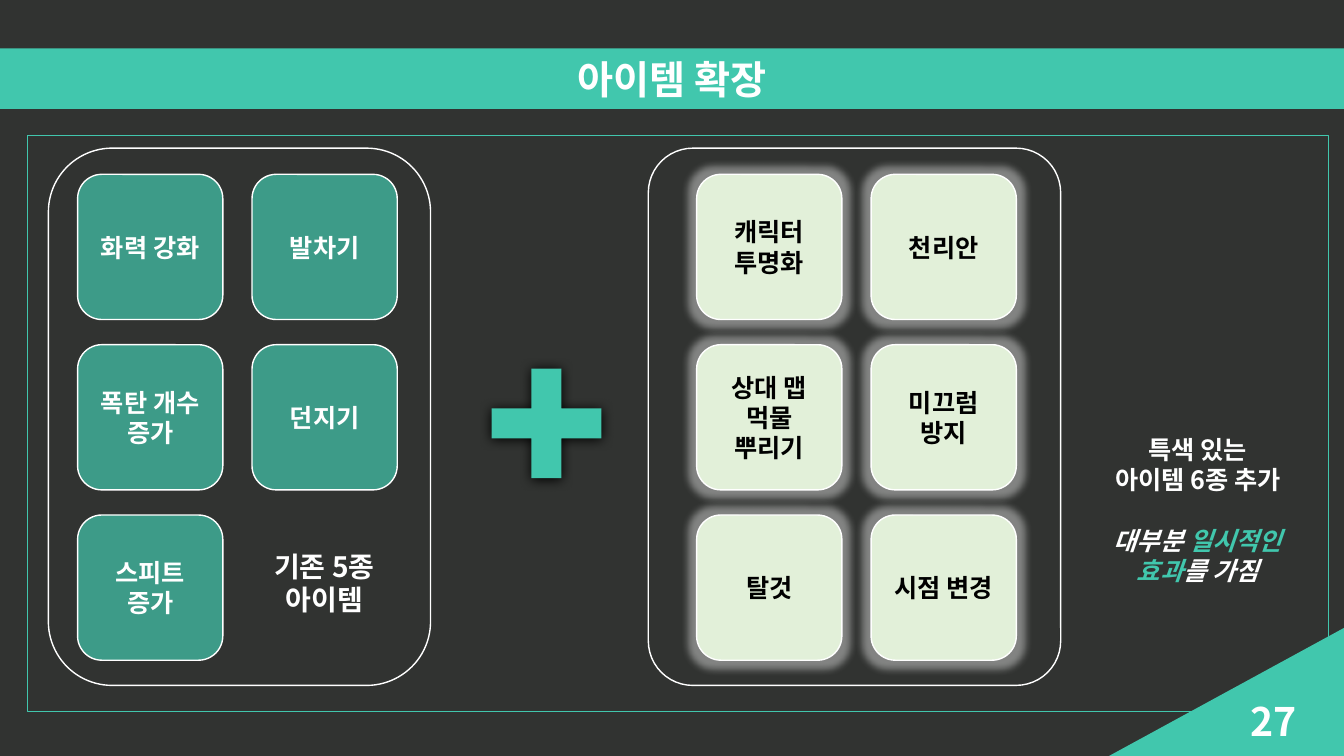
from dataclasses import dataclass
from typing import Any

from lxml.etree import SubElement
from pptx import Presentation
from pptx.dml.color import RGBColor
from pptx.enum.shapes import MSO_SHAPE as Preset
from pptx.enum.text import MSO_ANCHOR as Anchor, PP_ALIGN as Align
from pptx.oxml.ns import qn
from pptx.util import Inches, Pt

FONT = "Noto Sans CJK KR"
TEAL, DARK_TEAL, PALE_GREEN = "41C7AD", "3D9B88", "E2F0D9"
WHITE, BLACK, CHARCOAL = "FFFFFF", "000000", "313331"
TILE_SIZE, COLUMN_STEP, ROW_STEP, TILE_TOP = 1.44, 1.73, 1.69, 1.73

Box = tuple[float, float, float, float]


@dataclass(frozen=True)
class Piece:
    text: str
    color: str = WHITE
    italic: bool = False


@dataclass(frozen=True)
class ItemGroup:
    left: float
    fill: str
    text_color: str
    rows: tuple[tuple[str, ...], ...]
    frame: Box
    frame_rounding: float
    glowing: bool


GROUPS = (
    ItemGroup(0.77, DARK_TEAL, WHITE,
              (("화력 강화", "발차기"), ("폭탄 개수\n증가", "던지기"), ("스피트\n증가",)),
              (0.48, 1.47, 3.79, 5.33), 0.167, False),
    ItemGroup(6.91, PALE_GREEN, BLACK,
              (("캐릭터\n투명화", "천리안"), ("상대 맵\n먹물\n뿌리기", "미끄럼\n방지"),
               ("탈것", "시점 변경")),
              (6.43, 1.47, 4.09, 5.33), 0.108, True),
)


def rgb(color: str) -> RGBColor:
    return RGBColor.from_string(color)


def add_preset(slide: Any, preset: Any, box: Box, fill: str | None = None,
               line: str | None = None, line_width: float = 1) -> Any:
    shape = slide.shapes.add_shape(preset, *map(Inches, box))
    shape.shadow.inherit = False
    if fill:
        shape.fill.solid()
        shape.fill.fore_color.rgb = rgb(fill)
    else:
        shape.fill.background()
    if line:
        shape.line.color.rgb = rgb(line)
        shape.line.width = Pt(line_width)
    else:
        shape.line.fill.background()
    return shape


def add_effect(shape: Any, kind: str, color: str, alpha: int, **values: int) -> None:
    """Put a glow or shadow into the shape's effect list; alpha is in percent."""
    effects = shape.element.spPr.find(qn("a:effectLst"))
    effect = SubElement(effects, qn(f"a:{kind}"))
    for key, value in values.items():
        effect.set(key, str(value))
    tint = SubElement(effect, qn("a:srgbClr"), val=color)
    SubElement(tint, qn("a:alpha"), val=str(alpha * 1000))


def write(shape: Any, lines: list[list[Piece]], size: float,
          align: Any = Align.CENTER, anchor: Any = Anchor.MIDDLE) -> None:
    frame = shape.text_frame
    frame.word_wrap = True
    frame.vertical_anchor = anchor
    for index, pieces in enumerate(lines):
        paragraph = frame.paragraphs[0] if index == 0 else frame.add_paragraph()
        paragraph.alignment = align
        for piece in pieces:
            run = paragraph.add_run()
            run.text = piece.text
            run.font.color.rgb = rgb(piece.color)
            formats = {"name": FONT, "size": Pt(size), "bold": True, "italic": piece.italic}
            for key, value in formats.items():
                setattr(run.font, key, value)
            SubElement(run.font._element, qn("a:ea"), typeface=FONT)


def add_text(slide: Any, box: Box, lines: list[list[Piece]], size: float,
             align: Any = Align.CENTER, anchor: Any = Anchor.TOP) -> Any:
    label = slide.shapes.add_textbox(*map(Inches, box))
    write(label, lines, size, align, anchor)
    return label


def add_group(slide: Any, group: ItemGroup) -> None:
    for row, names in enumerate(group.rows):
        for column, name in enumerate(names):
            box = (group.left + column * COLUMN_STEP, TILE_TOP + row * ROW_STEP,
                   TILE_SIZE, TILE_SIZE)
            tile = add_preset(slide, Preset.ROUNDED_RECTANGLE, box, group.fill, WHITE)
            if group.glowing:
                add_effect(tile, "glow", WHITE, 40, rad=Pt(11))
            write(tile, [[Piece(line, group.text_color)] for line in name.split("\n")], 18)
    frame = add_preset(slide, Preset.ROUNDED_RECTANGLE, group.frame, line=WHITE)
    frame.adjustments[0] = group.frame_rounding


def main() -> None:
    deck = Presentation()
    deck.slide_width, deck.slide_height = Inches(13.33), Inches(7.5)
    slide = deck.slides.add_slide(deck.slide_layouts[6])
    slide.background.fill.solid()
    slide.background.fill.fore_color.rgb = rgb(CHARCOAL)

    add_preset(slide, Preset.RECTANGLE, (0.27, 1.34, 12.91, 5.72), line=TEAL, line_width=0.75)
    title = add_preset(slide, Preset.RECTANGLE, (0, 0.48, 13.33, 0.6), TEAL)
    write(title, [[Piece("아이템 확장")]], 28)

    corner = add_preset(slide, Preset.RIGHT_TRIANGLE, (11, 6.23, 2.33, 1.27), TEAL)
    corner.element.spPr.find(qn("a:xfrm")).set("flipH", "1")
    add_text(slide, (9.96, 6.95, 3, 0.4), [[Piece("27")]], 28, Align.RIGHT, Anchor.MIDDLE)

    for group in GROUPS:
        add_group(slide, group)
    add_text(slide, (2.47, 5.4, 1.49, 0.77), [[Piece("기존 5종 아이템")]], 20)

    plus = add_preset(slide, Preset.MATH_PLUS, (4.68, 3.46, 1.48, 1.48), TEAL)
    plus.adjustments[0] = 0.201
    add_effect(plus, "outerShdw", BLACK, 100, blurRad=Pt(8.5), dist=Pt(1), dir=90 * 60000)

    summary = add_text(slide, (10.86, 4.26, 2.04, 1.62), [
        [Piece("특색 있는")],
        [Piece("아이템 6종 추가")],
        [Piece("대부분 ", italic=True), Piece("일시적인", TEAL, True)],
        [Piece("효과", TEAL, True), Piece("를 가짐", italic=True)],
    ], 18)
    summary.text_frame.paragraphs[2].space_before = Pt(21.6)

    deck.save("out.pptx")


if __name__ == "__main__":
    main()
